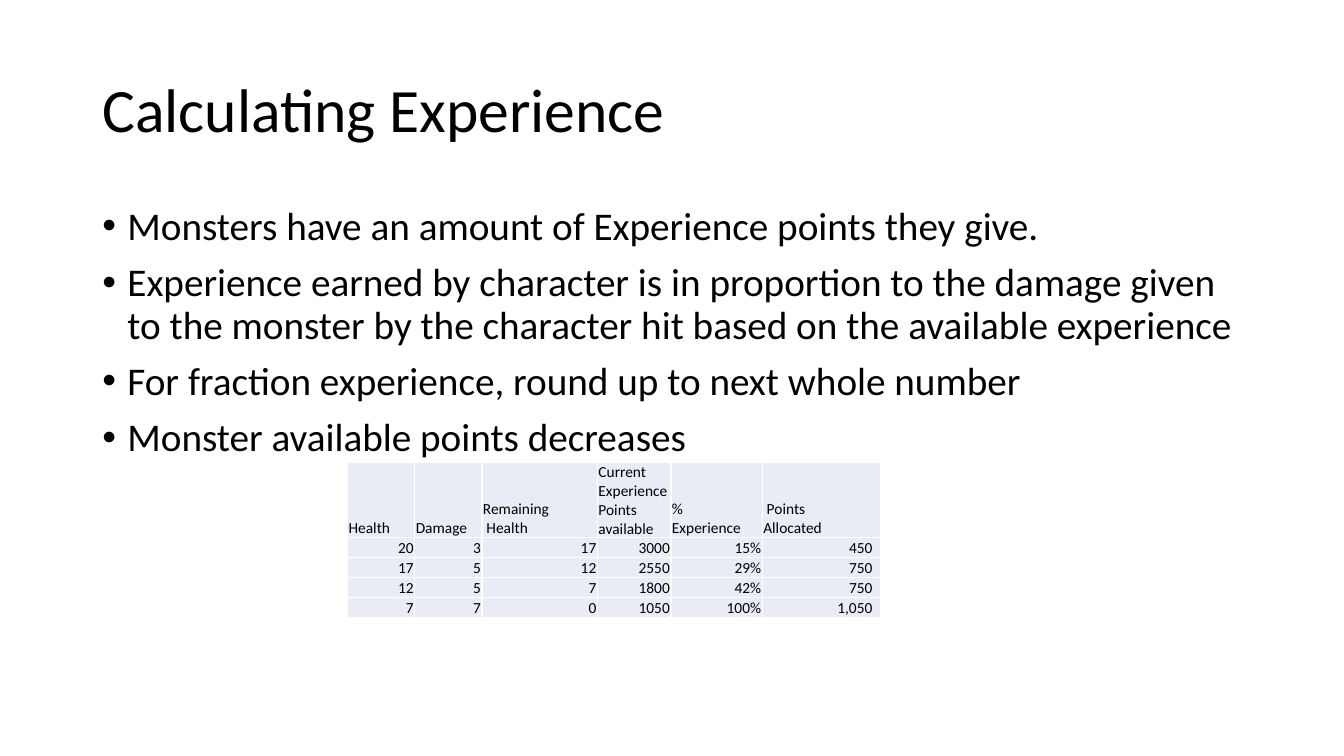
from dataclasses import dataclass

from lxml import etree
from pptx import Presentation
from pptx import util as u
from pptx.dml.color import RGBColor
from pptx.enum import text
from pptx.oxml import ns

PX = 9525
FONT = "Calibri"
BLACK, WHITE, CELL_FILL = "000000", "FFFFFF", "E9EBF5"


@dataclass
class Box:
    left: int
    top: int
    width: int
    height: int

    def emu(self) -> list[int]:
        return [px(v) for v in (self.left, self.top, self.width, self.height)]


@dataclass
class Column:
    header: str
    width: int
    values: list[str]
    right_inset: int = 1


TITLE_BOX = Box(88, 38, 1104, 139)
BODY_BOX = Box(88, 192, 1104, 457)
BULLETS = [
    "Monsters have an amount of Experience points they give.",
    "Experience earned by character is in proportion to the damage given to the "
    "monster by the character hit based on the available experience",
    "For fraction experience, round up to next whole number",
    "Monster available points decreases",
]
TABLE_LEFT, TABLE_TOP = 331, 440
HEADER_HEIGHT, ROW_HEIGHT = 72, 19
COLUMNS = [
    Column("Health", 64, ["20", "17", "12", "7"]),
    Column("Damage", 64, ["3", "5", "5", "7"]),
    Column("Remaining\n Health", 110, ["17", "12", "7", "0"]),
    Column("Current Experience Points available", 70, ["3000", "2550", "1800", "1050"]),
    Column("%\nExperience", 87, ["15%", "29%", "42%", "100%"]),
    Column(" Points\nAllocated", 113, ["450", "750", "750", "1,050"], 8),
]


def px(n: int) -> int:
    return n * PX


def rgb(color: str) -> RGBColor:
    return RGBColor.from_string(color)


def add_run(p, words: str, size: int) -> None:
    r = p.add_run()
    r.text = words
    r.font.name = FONT
    r.font.size = u.Pt(size)
    r.font.bold = False
    r.font.color.rgb = rgb(BLACK)


def add_bullet(p) -> None:
    pPr = p._p.get_or_add_pPr()
    pPr.set("marL", str(px(24)))
    pPr.set("indent", str(px(-24)))
    font = etree.SubElement(pPr, ns.qn("a:buFont"))
    font.set("typeface", "Arial")
    etree.SubElement(pPr, ns.qn("a:buChar")).set("char", "•")


def add_borders(cell, color: str) -> None:
    tcPr = cell._tc.get_or_add_tcPr()
    for i, side in enumerate(("a:lnL", "a:lnR", "a:lnT", "a:lnB")):
        ln = etree.Element(ns.qn(side))
        ln.set("w", str(u.Pt(1)))
        fill = etree.SubElement(ln, ns.qn("a:solidFill"))
        etree.SubElement(fill, ns.qn("a:srgbClr")).set("val", color)
        tcPr.insert(i, ln)


def fill_cell(cell, words: str, align, right_inset: int = 1) -> None:
    cell.fill.solid()
    cell.fill.fore_color.rgb = rgb(CELL_FILL)
    add_borders(cell, WHITE)
    cell.vertical_anchor = text.MSO_ANCHOR.BOTTOM
    cell.margin_left = cell.margin_top = px(1)
    cell.margin_right = px(right_inset)
    cell.margin_bottom = 0
    tf = cell.text_frame
    for i, line in enumerate(words.split("\n")):
        p = tf.add_paragraph() if i else tf.paragraphs[0]
        p.alignment = align
        add_run(p, line, 11)


def add_title(s) -> None:
    sp = s.shapes.title
    sp.left, sp.top, sp.width, sp.height = TITLE_BOX.emu()
    tf = sp.text_frame
    tf.auto_size = text.MSO_AUTO_SIZE.NONE
    tf.vertical_anchor = text.MSO_ANCHOR.MIDDLE
    p = tf.paragraphs[0]
    p.alignment = text.PP_ALIGN.LEFT
    p.line_spacing = 0.9
    add_run(p, "Calculating Experience", 44)


def add_body(s) -> None:
    tf = s.shapes.add_textbox(*BODY_BOX.emu()).text_frame
    tf.word_wrap = True
    for i, bullet in enumerate(BULLETS):
        p = tf.add_paragraph() if i else tf.paragraphs[0]
        p.line_spacing = 0.9
        p.space_before = u.Pt(10)
        add_bullet(p)
        add_run(p, bullet, 28)


def add_experience_table(s) -> None:
    heights = [HEADER_HEIGHT] + [ROW_HEIGHT] * len(COLUMNS[0].values)
    box = Box(TABLE_LEFT, TABLE_TOP, sum(c.width for c in COLUMNS), sum(heights))
    table = s.shapes.add_table(len(heights), len(COLUMNS), *box.emu()).table
    table.first_row = table.horz_banding = False
    for row, height in zip(table.rows, heights):
        row.height = px(height)
    for j, column in enumerate(COLUMNS):
        table.columns[j].width = px(column.width)
        fill_cell(table.cell(0, j), column.header, text.PP_ALIGN.LEFT)
        for i, value in enumerate(column.values, 1):
            fill_cell(table.cell(i, j), value, text.PP_ALIGN.RIGHT, column.right_inset)


def main() -> None:
    prs = Presentation()
    prs.slide_width, prs.slide_height = px(1280), px(720)
    s = prs.slides.add_slide(prs.slide_layouts[5])
    add_title(s)
    add_body(s)
    add_experience_table(s)
    prs.save("out.pptx")


if __name__ == "__main__":
    main()
